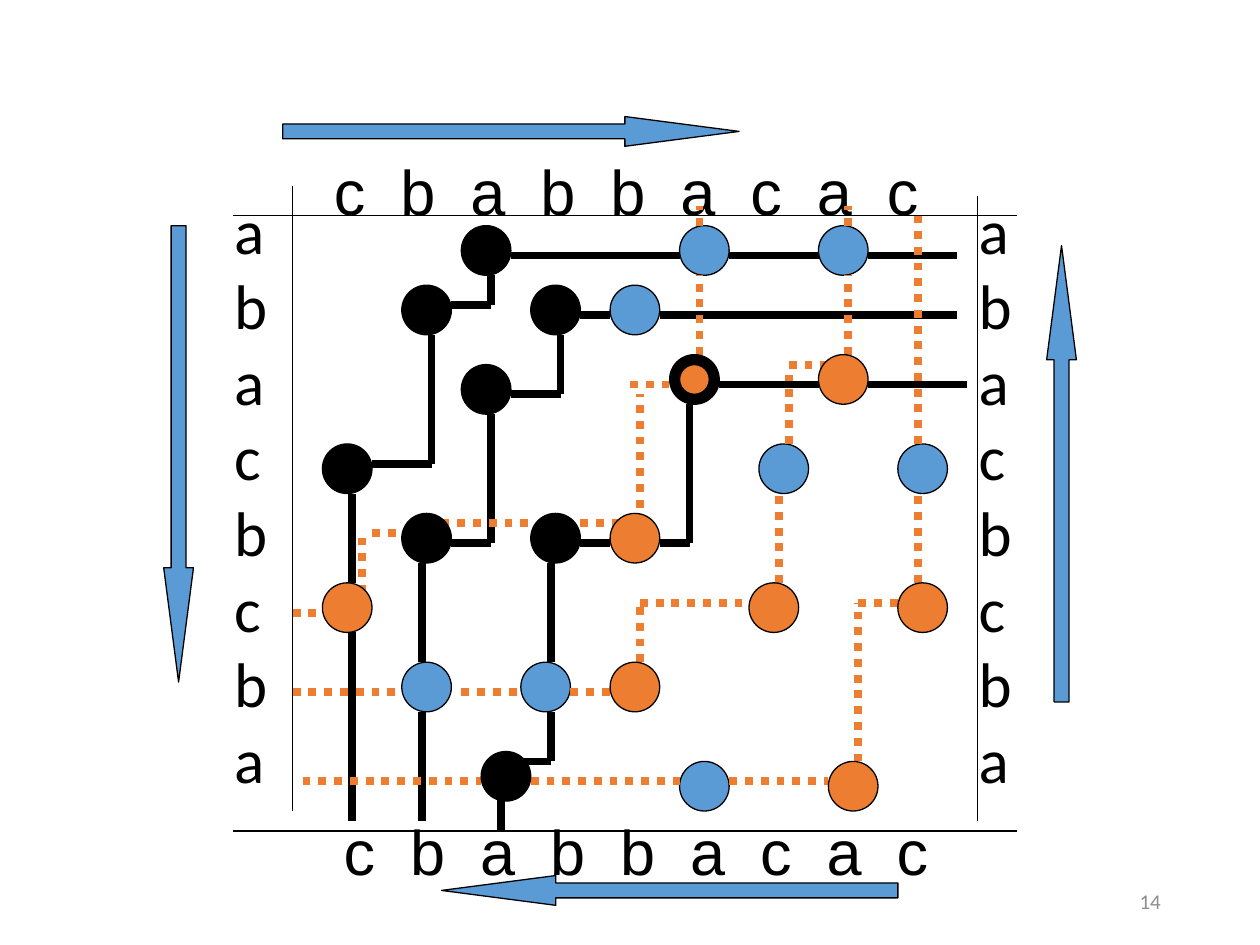
from itertools import pairwise

from lxml import etree
from pptx import Presentation
from pptx.dml.color import RGBColor
from pptx.enum.dml import MSO_LINE
from pptx.enum.shapes import MSO_CONNECTOR, MSO_SHAPE
from pptx.enum.text import MSO_ANCHOR, PP_ALIGN
from pptx.oxml.ns import qn
from pptx.util import Cm, Pt

STRAIGHT = MSO_CONNECTOR.STRAIGHT
ELLIPSE = MSO_SHAPE.OVAL
ARROW = MSO_SHAPE.RIGHT_ARROW
DOTTED = MSO_LINE.ROUND_DOT
MIDDLE = MSO_ANCHOR.MIDDLE
LEFT, RIGHT = PP_ALIGN.LEFT, PP_ALIGN.RIGHT

BLACK, BLUE, ORANGE, GREY = "000000", "5B9BD5", "ED7D31", "8C8C8C"
DOT = 1  # diameter of a match point

COLUMN_WORD = "cbabbacac"
ROW_WORD = "abacbcba"

# Match points: left, top
BLUE_DOTS = [(13.7, 4.55), (16.5, 4.55), (12.3, 5.75), (15.3, 8.95),
             (18.1, 8.95), (8.1, 13.35), (10.5, 13.35), (13.7, 15.35)]
BLACK_DOTS = [(9.3, 4.55), (8.1, 5.75), (6.5, 8.95), (10.7, 5.75), (9.3, 7.35),
              (8.1, 10.35), (13.5, 7.15), (10.7, 10.35), (9.7, 15.15)]
ORANGE_DOTS = [(18.1, 11.75), (16.7, 15.35), (16.5, 7.15), (15.1, 11.75),
               (12.3, 13.35), (12.3, 10.35), (6.5, 11.75)]

# Frame around the grid
FRAME = [[(4.7, 4.35), (20.5, 4.35)], [(5.9, 3.75), (5.9, 16.35)],
         [(19.7, 3.95), (19.7, 16.55)], [(4.7, 16.75), (20.5, 16.75)]]

# Solid contours from the top left
SOLID_PATHS = [
    [(7.1, 16.55), (7.1, 12.75)],
    [(7.1, 11.75), (7.1, 9.95)],
    [(7.5, 9.35), (8.7, 9.35), (8.7, 6.75)],
    [(9.1, 6.15), (9.9, 6.15), (9.9, 5.55)],
    [(10.3, 5.15), (13.7, 5.15)],
    [(14.7, 5.15), (16.5, 5.15)],
    [(17.5, 5.15), (19.3, 5.15)],
    [(8.5, 16.55), (8.5, 14.35)],
    [(8.5, 13.35), (8.5, 11.35)],
    [(9.1, 10.95), (9.9, 10.95), (9.9, 8.35)],
    [(10.3, 7.95), (11.3, 7.95), (11.3, 6.75)],
    [(11.7, 6.35), (12.3, 6.35)],
    [(13.3, 6.35), (19.3, 6.35)],
    [(10.1, 16.75), (10.1, 15.95)],
    [(10.5, 15.35), (11.1, 15.35), (11.1, 14.35)],
    [(11.1, 13.35), (11.1, 11.35)],
    [(11.7, 10.95), (12.3, 10.95)],
    [(13.3, 10.95), (13.9, 10.95), (13.9, 8.15)],
    [(14.5, 7.75), (16.5, 7.75)],
    [(17.5, 7.75), (19.5, 7.75)],
]

# Dotted contours from the bottom right
DOTTED_PATHS = [
    [(6.1, 15.75), (9.7, 15.75)],
    [(10.7, 15.75), (13.7, 15.75)],
    [(14.7, 15.75), (16.7, 15.75)],
    [(17.3, 15.35), (17.3, 12.15), (18.1, 12.15)],
    [(18.5, 11.75), (18.5, 9.95)],
    [(18.5, 8.95), (18.5, 4.35)],
    [(5.9, 13.95), (8.1, 13.95)],
    [(9.3, 13.95), (10.5, 13.95)],
    [(11.5, 13.95), (12.3, 13.95)],
    [(12.9, 13.35), (12.9, 12.15), (15.1, 12.15)],
    [(15.7, 11.75), (15.7, 9.95)],
    [(15.9, 7.35), (16.7, 7.35)],
    [(15.9, 8.95), (15.9, 7.55)],
    [(17.1, 7.15), (17.1, 5.55)],
    [(17.1, 4.55), (17.1, 4.15)],
    [(5.9, 12.35), (6.5, 12.35)],
    [(7.5, 10.75), (8.1, 10.75)],
    [(7.3, 11.95), (7.3, 10.75)],
    [(8.9, 10.55), (10.7, 10.55)],
    [(11.7, 10.55), (12.5, 10.55)],
    [(12.7, 7.75), (13.5, 7.75)],
    [(12.9, 10.55), (12.9, 7.95)],
    [(14.1, 7.15), (14.1, 5.55)],
    [(14.1, 4.55), (14.1, 4.15)],
]

# Reading directions: centre x, centre y, rotation
ARROWS = [(10.3, 2.65, 0), (3.6, 9.15, 90), (21.4, 9.55, 270), (13.5, 17.95, 180)]


def color(value):
    return RGBColor.from_string(value)


def add_path(slide, points, line_color, width, dash=None):
    for (x1, y1), (x2, y2) in pairwise(points):
        connector = slide.shapes.add_connector(STRAIGHT, Cm(x1), Cm(y1), Cm(x2), Cm(y2))
        connector.line.color.rgb = color(line_color)
        connector.line.width = Pt(width)
        if dash is not None:
            connector.line.dash_style = dash
        etree.SubElement(connector._element.spPr, qn("a:effectLst"))


def add_filled_shape(slide, kind, left, top, width, height, fill):
    shape = slide.shapes.add_shape(kind, Cm(left), Cm(top), Cm(width), Cm(height))
    shape.shadow.inherit = False
    shape.fill.solid()
    shape.fill.fore_color.rgb = color(fill)
    shape.line.color.rgb = color(BLACK)
    shape.line.width = Pt(0.75)
    return shape


def add_dots(slide, corners, fill, size=DOT):
    for left, top in corners:
        add_filled_shape(slide, ELLIPSE, left, top, size, size, fill)


def add_arrow(slide, center_x, center_y, rotation):
    length, thickness = 9.2, 0.6
    arrow = add_filled_shape(slide, ARROW, center_x - length / 2,
                             center_y - thickness / 2, length, thickness, BLUE)
    arrow.adjustments[0] = 0.5
    arrow.adjustments[1] = 3.836
    arrow.rotation = rotation


def add_text(slide, box, lines, font, size, text_color, align=LEFT):
    frame = slide.shapes.add_textbox(*map(Cm, box)).text_frame
    frame.word_wrap = True
    for index, line in enumerate(lines):
        paragraph = frame.add_paragraph() if index else frame.paragraphs[0]
        paragraph.alignment = align
        run = paragraph.add_run()
        run.text = line
        run.font.name = font
        run.font.size = Pt(size)
        run.font.color.rgb = color(text_color)
    return frame


def add_column_letters(slide, left, top):
    frame = add_text(slide, (left, top, 13.4, 2), ["\t".join(COLUMN_WORD)],
                     "Arial", 36, BLACK)
    # Tab stops leave the same gap after each letter
    properties = frame.paragraphs[0]._p.get_or_add_pPr()
    tabs = etree.SubElement(properties, qn("a:tabLst"))
    gap, position = 20, 0
    for letter in COLUMN_WORD[:-1]:
        position += gap + (18 if letter == "c" else 20)
        etree.SubElement(tabs, qn("a:tab"), pos=str(Pt(position)), algn="l")


def main():
    presentation = Presentation()
    presentation.slide_width = Cm(25.4)
    presentation.slide_height = Cm(19.05)
    slide = presentation.slides.add_slide(presentation.slide_layouts[6])

    # Frame and letters
    for path in FRAME:
        add_path(slide, path, BLACK, 0.75)
    for left, top in [(6.48, 2.95), (6.68, 16.25)]:
        add_column_letters(slide, left, top)
    for left in (4.47, 19.48):
        add_text(slide, (left, 3.73, 2.2, 14), ROW_WORD, "Calibri", 36, BLACK)

    # Contours and match points
    add_dots(slide, BLUE_DOTS, BLUE)
    for path in SOLID_PATHS:
        add_path(slide, path, BLACK, 4.5)
    for path in DOTTED_PATHS:
        add_path(slide, path, ORANGE, 4.5, DOTTED)
    add_dots(slide, BLACK_DOTS, BLACK)
    add_dots(slide, ORANGE_DOTS, ORANGE)
    add_dots(slide, [(13.7, 7.35)], ORANGE, 0.6)

    # Reading directions
    for arrow in ARROWS:
        add_arrow(slide, *arrow)

    # Slide number
    number = add_text(slide, (17.93, 17.65, 5.72, 1.02), ["14"], "Calibri", 12, GREY, RIGHT)
    number.vertical_anchor = MIDDLE

    presentation.save("out.pptx")


if __name__ == "__main__":
    main()
